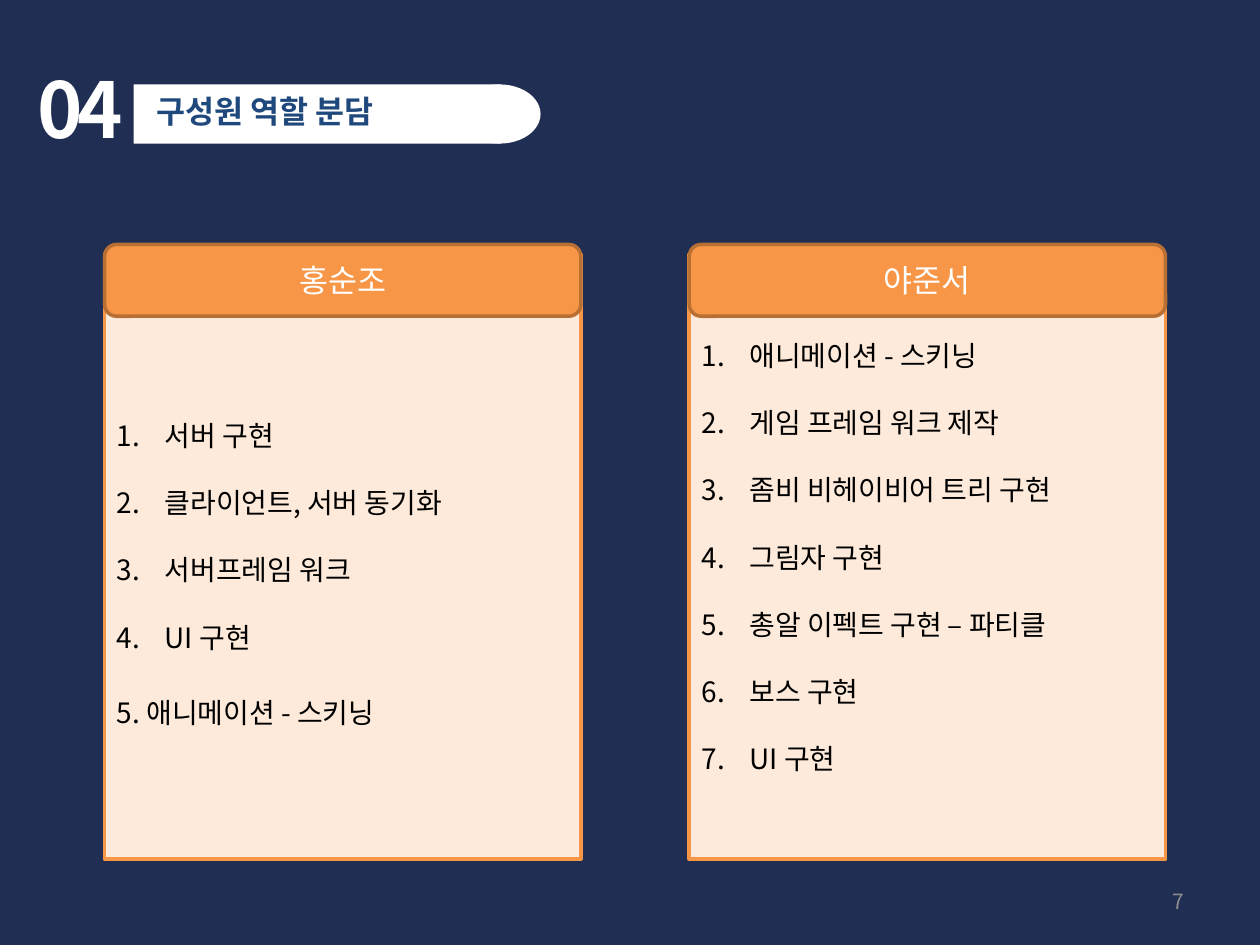
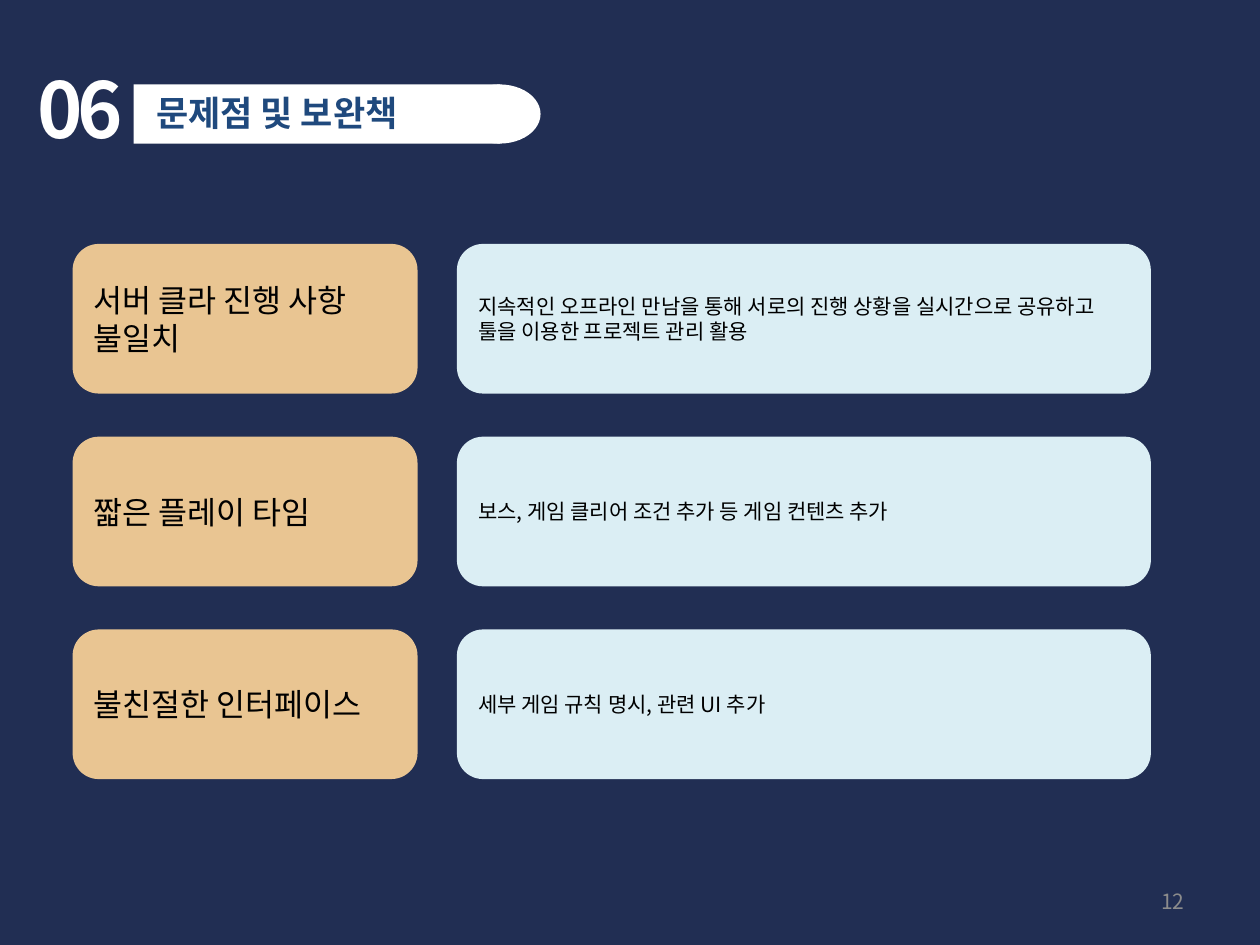
import pptx
import pptx.util
import pptx.dml.color
import pptx.enum.shapes
import pptx.enum.text
import pptx.oxml.ns
import lxml.etree

# Content
roles = {
    "number": "04", "title": "구성원 역할 분담", "title_size": 18, "page": "7",
    "members": [
        {"name": "홍순조", "top_inset": 0.32,
         "tasks": ["서버 구현", "클라이언트, 서버 동기화", "서버프레임 워크", "UI 구현"],
         "closing": "5. 애니메이션 - 스키닝"},
        {"name": "야준서", "top_inset": 0.05,
         "tasks": ["애니메이션\u00a0- 스키닝", "게임 프레임 워크 제작", "좀비 비헤이비어 트리 구현",
                   "그림자 구현", "총알 이펙트 구현 – 파티클", "보스 구현", "UI 구현"],
         "closing": None},
    ],
}
problems = {
    "number": "06", "title": "문제점 및 보완책", "title_size": 20, "page": "12",
    "pairs": [
        ("서버 클라 진행 사항 불일치",
         "지속적인 오프라인 만남을 통해 서로의 진행 상황을 실시간으로 공유하고 "
         "툴을 이용한 프로젝트 관리 활용"),
        ("짧은 플레이 타임", "보스, 게임 클리어 조건 추가 등 게임 컨텐츠 추가"),
        ("불친절한 인터페이스", "세부 게임 규칙 명시, 관련 UI 추가"),
    ],
}

# Shared look
COLORS = {"navy": "212E53", "white": "FFFFFF", "blue": "1F497D", "cream": "FDEADA",
          "orange": "F79646", "brown": "B76F34", "sand": "E9C592", "ice": "DBEEF4",
          "black": "000000", "gray": "8C8C8C"}
FONT = "Noto Sans CJK KR"
SHAPE = pptx.enum.shapes.MSO_SHAPE
ALIGN = pptx.enum.text.PP_ALIGN
MIDDLE = pptx.enum.text.MSO_ANCHOR.MIDDLE
TOP = pptx.enum.text.MSO_ANCHOR.TOP

# Grids in inches: first left or top, size, step to the next
MEMBER_GRID = {"left": 0.83, "width": 3.78, "step": 4.64}
PROBLEM_ROWS = {"top": 1.95, "height": 1.16, "step": 1.53}
PROBLEM_COLUMNS = [
    {"left": 0.59, "width": 2.71, "color": "sand", "size": 18},
    {"left": 3.64, "width": 5.48, "color": "ice", "size": 12},
]
TASK_INDENT = 0.38


def rgb(name):
    return pptx.dml.color.RGBColor.from_string(COLORS[name])


def box(*lengths):
    return [pptx.util.Inches(length) for length in lengths]


def write(paragraph, text, size, color, align=ALIGN.LEFT, bold=False, tracking=None):
    paragraph.alignment = align
    run = paragraph.add_run()
    run.text = text
    font_format = {"name": FONT, "size": pptx.util.Pt(size), "bold": bold}
    for attribute, value in font_format.items():
        setattr(run.font, attribute, value)
    run.font.color.rgb = rgb(color)
    properties = run.font._element
    east_asian = lxml.etree.SubElement(properties, pptx.oxml.ns.qn("a:ea"))
    east_asian.set("typeface", FONT)
    if tracking is not None:
        properties.set("spc", str(tracking * 100))


def panel(shapes, kind, place, fill, line=None):
    shape = shapes.add_shape(kind, *box(*place))
    shape.shadow.inherit = False
    shape.fill.solid()
    shape.fill.fore_color.rgb = rgb(fill)
    if line:
        shape.line.color.rgb = rgb(line)
        shape.line.width = pptx.util.Pt(2)
    else:
        shape.line.fill.background()
    frame_format = {"word_wrap": True, "vertical_anchor": MIDDLE}
    for attribute, value in frame_format.items():
        setattr(shape.text_frame, attribute, value)
    return shape.text_frame


def label(slide, place, text, size, color, anchor=TOP, **style):
    frame = slide.shapes.add_textbox(*box(*place)).text_frame
    frame_format = {"word_wrap": True, "vertical_anchor": anchor}
    for attribute, value in frame_format.items():
        setattr(frame, attribute, value)
    write(frame.paragraphs[0], text, size, color, **style)


def number_paragraph(paragraph):
    properties = paragraph._p.get_or_add_pPr()
    indent = pptx.util.Inches(TASK_INDENT)
    properties.set("marL", str(indent))
    properties.set("indent", str(-indent))
    numbering = lxml.etree.SubElement(properties, pptx.oxml.ns.qn("a:buAutoNum"))
    numbering.set("type", "arabicPeriod")


def start_slide(content):
    slide = deck.slides.add_slide(deck.slide_layouts[6])
    slide.background.fill.solid()
    slide.background.fill.fore_color.rgb = rgb("navy")
    label(slide, (0.2, 0.44, 1.1, 0.84), content["number"], 44, "white",
          bold=True, tracking=-3)
    band = slide.shapes.add_group_shape().shapes
    panel(band, SHAPE.RECTANGLE, (1.06, 0.67, 2.91, 0.47), "white")
    panel(band, SHAPE.OVAL, (3.64, 0.67, 0.65, 0.47), "white")
    label(slide, (1.14, 0.68, 2.92, 0.42), content["title"], content["title_size"],
          "blue", bold=True)
    return slide


def add_page_number(slide, content):
    label(slide, (7.17, 6.95, 2.33, 0.4), content["page"], 12, "gray",
          anchor=MIDDLE, align=ALIGN.RIGHT)


deck = pptx.Presentation()
deck.slide_width, deck.slide_height = box(10, 7.5)

# Slide: roles of the members
slide = start_slide(roles)
for column, member in enumerate(roles["members"]):
    left = MEMBER_GRID["left"] + column * MEMBER_GRID["step"]
    width = MEMBER_GRID["width"]
    duties = panel(slide.shapes, SHAPE.RECTANGLE, (left, 2.02, width, 4.8),
                   "cream", "orange")
    duties.margin_top = pptx.util.Inches(member["top_inset"])
    for index, task in enumerate(member["tasks"]):
        paragraph = duties.add_paragraph() if index else duties.paragraphs[0]
        if index:
            paragraph.space_before = pptx.util.Pt(19.2)
        write(paragraph, task, 16, "black")
        number_paragraph(paragraph)
    if member["closing"]:
        paragraph = duties.add_paragraph()
        paragraph.space_before = pptx.util.Pt(24)
        write(paragraph, member["closing"], 16, "black")
    heading = panel(slide.shapes, SHAPE.ROUNDED_RECTANGLE, (left, 1.94, width, 0.57),
                    "orange", "brown")
    write(heading.paragraphs[0], member["name"], 18, "white", align=ALIGN.CENTER)
add_page_number(slide, roles)

# Slide: problems and remedies
slide = start_slide(problems)
for row, pair in enumerate(problems["pairs"]):
    top = PROBLEM_ROWS["top"] + row * PROBLEM_ROWS["step"]
    for column, text in zip(PROBLEM_COLUMNS, pair):
        place = (column["left"], top, column["width"], PROBLEM_ROWS["height"])
        card = panel(slide.shapes, SHAPE.ROUNDED_RECTANGLE, place,
                     column["color"], column["color"])
        write(card.paragraphs[0], text, column["size"], "black")
add_page_number(slide, problems)

deck.save("out.pptx")
